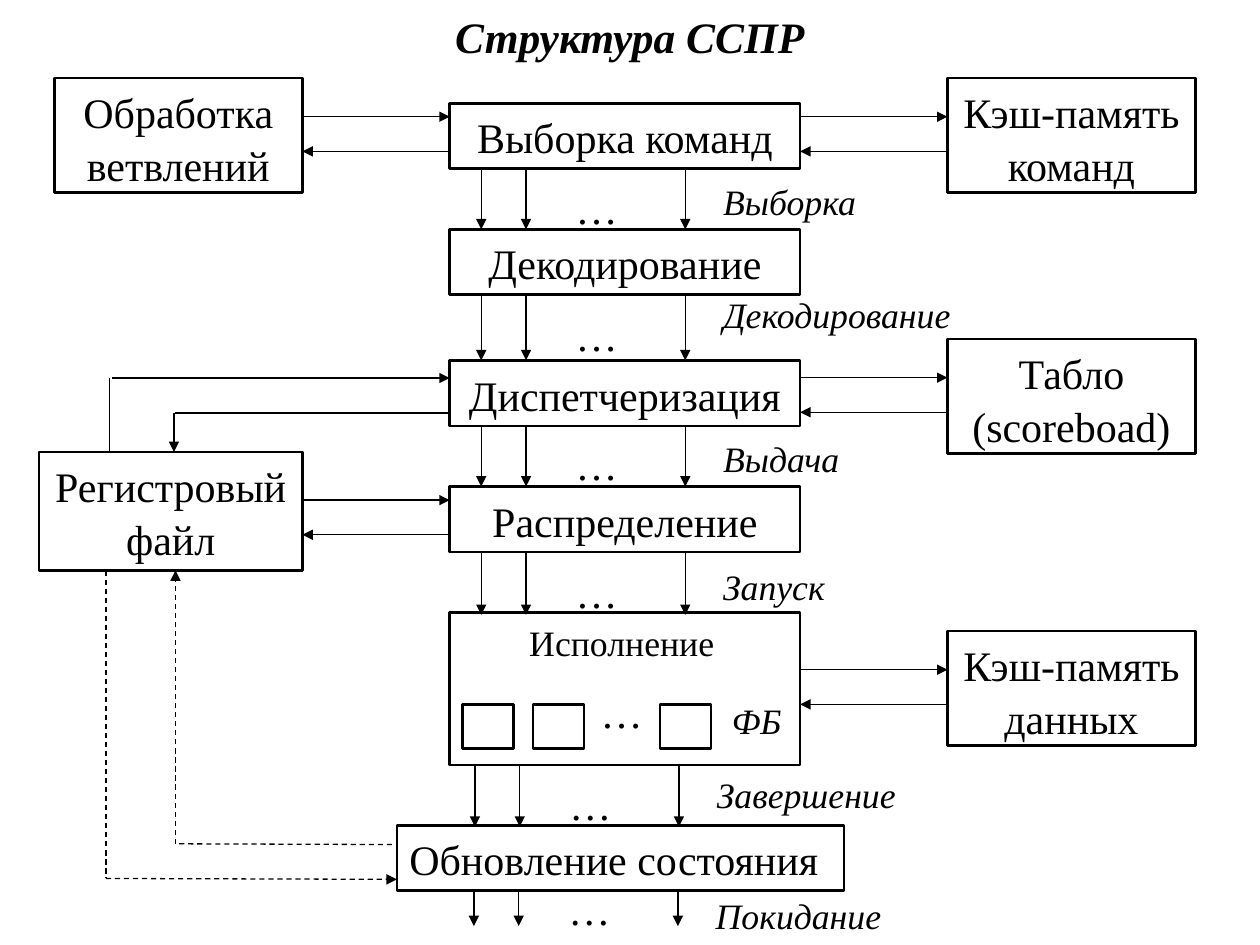
from lxml import etree
from pptx import Presentation
from pptx.dml.color import RGBColor
from pptx.enum.dml import MSO_LINE
from pptx.enum.shapes import MSO_CONNECTOR, MSO_SHAPE
from pptx.enum.text import MSO_ANCHOR, PP_ALIGN
from pptx.oxml.ns import qn
from pptx.util import Pt

BLACK = RGBColor(0, 0, 0)
WHITE = RGBColor(255, 255, 255)
FONT = "Times New Roman"
LEFT, CENTER = PP_ALIGN.LEFT, PP_ALIGN.CENTER
TOP, MIDDLE = MSO_ANCHOR.TOP, MSO_ANCHOR.MIDDLE
RECTANGLE = MSO_SHAPE.RECTANGLE
STRAIGHT = MSO_CONNECTOR.STRAIGHT
DASH = MSO_LINE.DASH

STAGE_LEFT, STAGE_WIDTH, STAGE_HEIGHT = 257, 200.2, 37.4
STAGE_RIGHT = STAGE_LEFT + STAGE_WIDTH
SIDE_WIDTH, SIDE_HEIGHT = 141.8, 65.5
LEFT_EDGE, RIGHT_EDGE = 172.8, 541.4
PAIR_GAP = 19.8
LANES = (0, 25.6, 116.6)


def points(box):
    return [Pt(value) for value in box]


def write(shape, text, size=24, align=CENTER, anchor=TOP, italic=False, bold=False, spacing=1.05):
    frame = shape.text_frame
    frame.word_wrap = True
    frame.vertical_anchor = anchor
    frame.text = text
    para = frame.paragraphs[0]
    para.alignment = align
    para.line_spacing = spacing
    font = para.font
    font.name, font.size = FONT, Pt(size)
    font.bold, font.italic = bold, italic
    font.color.rgb = BLACK


def draw_title(page, box, text):
    title = page.shapes.title
    title.left, title.top, title.width, title.height = points(box)
    write(title, text, 24.8, anchor=MIDDLE, italic=True, bold=True, spacing=1)


def draw_block(page, box, text="", align=CENTER):
    block = page.shapes.add_shape(RECTANGLE, *points(box))
    block.shadow.inherit = False
    block.fill.solid()
    block.fill.fore_color.rgb = WHITE
    block.line.color.rgb = BLACK
    block.line.width = Pt(1.5)
    if text:
        write(block, text, align=align)


def draw_label(page, box, text, **style):
    write(page.shapes.add_textbox(*points(box)), text, **style)


def draw_link(page, start, end, arrow=True, dashed=False):
    link = page.shapes.add_connector(STRAIGHT, *points(start + end))
    link.line.color.rgb = BLACK
    link.line.width = Pt(0.75)
    if dashed:
        link.line.dash_style = DASH
    if arrow:
        outline = link.line._get_or_add_ln()
        etree.SubElement(outline, qn("a:tailEnd"), type="triangle")
    etree.SubElement(link._element.spPr, qn("a:effectLst"))


def draw_exchange(page, left, right, top):
    draw_link(page, (left, top), (right, top))
    draw_link(page, (right, top + PAIR_GAP), (left, top + PAIR_GAP))


def draw_flow(page, box, text, label_top, dots_top):
    left, top, width, height = box
    for lane in LANES:
        draw_link(page, (left + lane, top), (left + lane, top + height))
    draw_label(page, (left + 33.2, dots_top, 65.5, 39.6), "…")
    draw_label(page, (left + 131.1, label_top, width, 33.1), text,
               size=20.4, align=LEFT, italic=True)


def draw_execution(page, box):
    left, top, width, height = box
    draw_block(page, box)
    draw_label(page, (left + 7.2, top, 182.2, 31.7), "Исполнение", size=20.4)
    for offset in (7.2, 47.5, 120.2):
        draw_block(page, (left + offset, top + 52.4, 29.2, 25.2))
    draw_label(page, (left + 65.5, top + 37.4, 65.5, 39.6), "…")
    draw_label(page, (left + 145.5, top + 44.6, 59.8, 31.7), "ФБ", size=20.4, italic=True)


def draw_pipeline(page):
    stages = (("Выборка команд", 59), ("Декодирование", 131),
              ("Диспетчеризация", 206), ("Распределение", 278))
    for text, top in stages:
        draw_block(page, (STAGE_LEFT, top, STAGE_WIDTH, STAGE_HEIGHT), text)
    draw_execution(page, (STAGE_LEFT, 350, STAGE_WIDTH, 87.1))
    draw_block(page, (226.8, 471.6, 255.6, STAGE_HEIGHT), "Обновление состояния", LEFT)
    flows = (
        ((275, 96.5, 118, 34.6), "Выборка", 97.9, 99.4),
        ((275, 169.2, 170, 36.7), "Декодирование", 162.7, 172.1),
        ((275, 243.4, 112, 34.6), "Выдача", 244.8, 245.5),
        ((275, 316.1, 92, 35.3), "Запуск", 318.2, 319),
        ((271.4, 437.8, 143, 34.6), "Завершение", 437, 439.9),
        ((270.8, 509.8, 148, 19.4), "Покидание", 506.2, 499.7),
    )
    for flow in flows:
        draw_flow(page, *flow)


def draw_side_units(page):
    units = (("Обработка\vветвлений", 31, 44.6),
             ("Кэш-память\vкоманд", RIGHT_EDGE, 44.6),
             ("Табло\v(scoreboad)", RIGHT_EDGE, 193.7),
             ("Кэш-память\vданных", RIGHT_EDGE, 360.6))
    for text, left, top in units:
        draw_block(page, (left, top, SIDE_WIDTH, SIDE_HEIGHT), text)
        ends = (STAGE_RIGHT, RIGHT_EDGE) if left == RIGHT_EDGE else (LEFT_EDGE, STAGE_LEFT)
        draw_exchange(page, *ends, top + 22.1)


def draw_register_file(page, box):
    left, top, width, height = box
    bottom = top + height
    draw_exchange(page, left + width, STAGE_LEFT, 285.8)
    draw_block(page, box, "Регистровый\vфайл")
    draw_link(page, (62.6, 216), (62.6, top), arrow=False)
    draw_link(page, (64.1, 216), (STAGE_LEFT, 216))
    draw_link(page, (STAGE_LEFT, 236), (100, 236), arrow=False)
    draw_link(page, (99.4, 236), (99.4, top))
    draw_link(page, (60.5, bottom), (60.5, 502), arrow=False, dashed=True)
    draw_link(page, (60.5, 502), (226.8, 502.5), dashed=True)
    draw_link(page, (224, 482.6), (100.3, 482.2), arrow=False, dashed=True)
    draw_link(page, (100.3, 482.2), (100.3, bottom), dashed=True)


def main():
    deck = Presentation()
    deck.slide_width, deck.slide_height = Pt(720), Pt(540)
    page = deck.slides.add_slide(deck.slide_layouts[5])
    draw_title(page, (0, 1.4, 720, 38.9), "Структура ССПР")
    draw_pipeline(page)
    draw_side_units(page)
    draw_register_file(page, (22.3, 258.3, 150.5, 67.7))
    deck.save("out.pptx")


if __name__ == "__main__":
    main()
